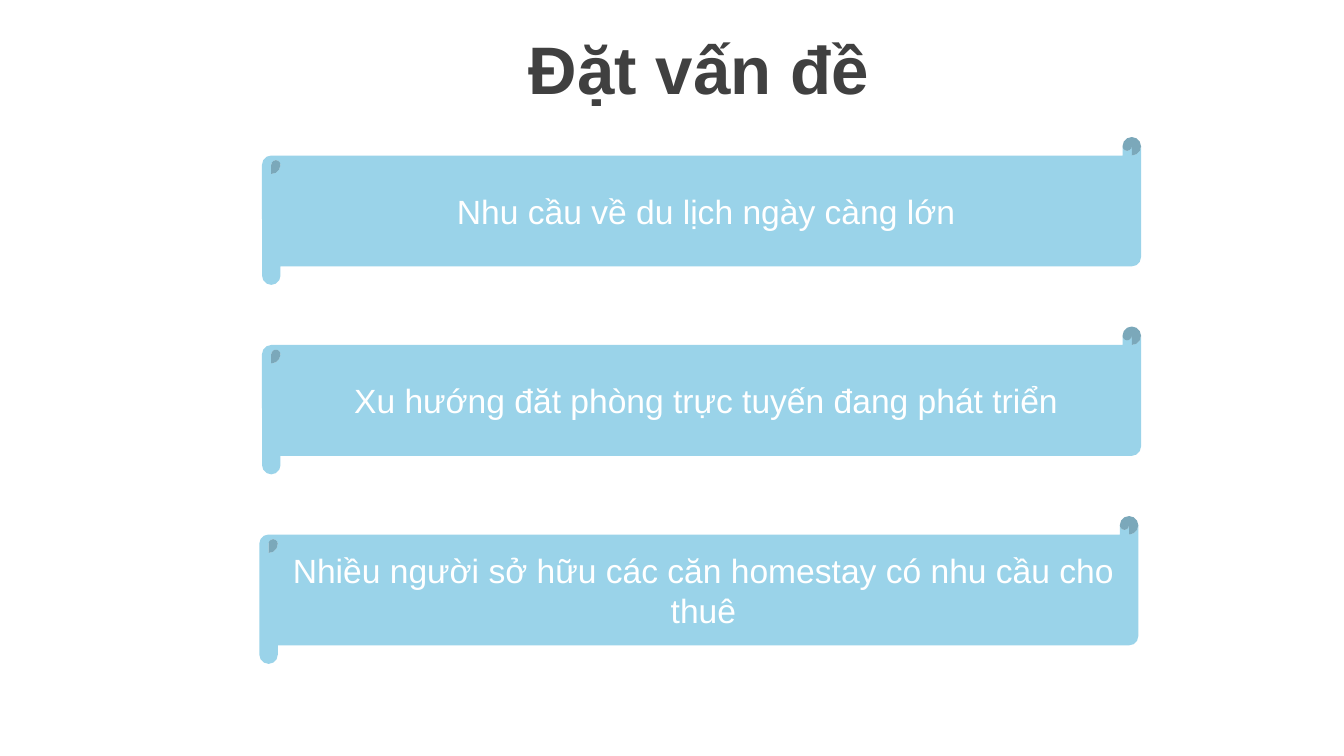
from dataclasses import dataclass

from pptx import Presentation
from pptx.dml.color import RGBColor
from pptx.enum.shapes import MSO_SHAPE as Shape
from pptx.enum.text import MSO_ANCHOR as Anchor, PP_ALIGN as Align
from pptx.util import Inches, Pt

WHITE = RGBColor(0xFF, 0xFF, 0xFF)
SKY = RGBColor(0x9A, 0xD3, 0xE9)
CHARCOAL = RGBColor(0x40, 0x40, 0x40)
FONT = "Arial"

SLIDE_W = 10
SLIDE_H = SLIDE_W * 9 / 16
SCROLL_W, SCROLL_H = 6.54, 1.1
FIRST_TOP, ROW_PITCH = 1.02, 1.41


@dataclass(frozen=True)
class Scroll:
    row: int
    text: str
    left: float = 1.95


SCROLLS = [
    Scroll(0, "Nhu cầu về du lịch ngày càng lớn"),
    Scroll(1, "Xu hướng đăt phòng trực tuyến đang phát triển"),
    Scroll(2, "Nhiều người sở hữu các căn homestay có nhu cầu cho thuê", left=1.93),
]


def write_centred(s, text: str, size: int, color: RGBColor, bold: bool = False) -> None:
    tf = s.text_frame
    tf.word_wrap = True
    tf.vertical_anchor = Anchor.MIDDLE
    p = tf.paragraphs[0]
    p.alignment = Align.CENTER
    r = p.add_run()
    r.text = text
    r.font.name = FONT
    r.font.size = Pt(size)
    r.font.bold = bold
    r.font.color.rgb = color


def add_title(slide, text: str) -> None:
    s = slide.shapes.title
    s.left, s.top = Inches(0.2), Inches(0.19)
    s.width, s.height = Inches(SLIDE_W), Inches(0.63)
    write_centred(s, text, 36, CHARCOAL, bold=True)


def add_scroll(slide, scroll: Scroll) -> None:
    top = FIRST_TOP + scroll.row * ROW_PITCH
    s = slide.shapes.add_shape(
        Shape.HORIZONTAL_SCROLL,
        Inches(scroll.left), Inches(top), Inches(SCROLL_W), Inches(SCROLL_H),
    )
    s.shadow.inherit = False
    s.fill.solid()
    s.fill.fore_color.rgb = SKY
    s.line.fill.background()
    write_centred(s, scroll.text, 18, WHITE)


def main() -> None:
    prs = Presentation()
    prs.slide_width, prs.slide_height = Inches(SLIDE_W), Inches(SLIDE_H)
    title_only = prs.slide_layouts[5]
    slide = prs.slides.add_slide(title_only)
    slide.background.fill.solid()
    slide.background.fill.fore_color.rgb = WHITE
    add_title(slide, "Đặt vấn đề")
    for scroll in SCROLLS:
        add_scroll(slide, scroll)
    prs.save("out.pptx")


if __name__ == "__main__":
    main()
